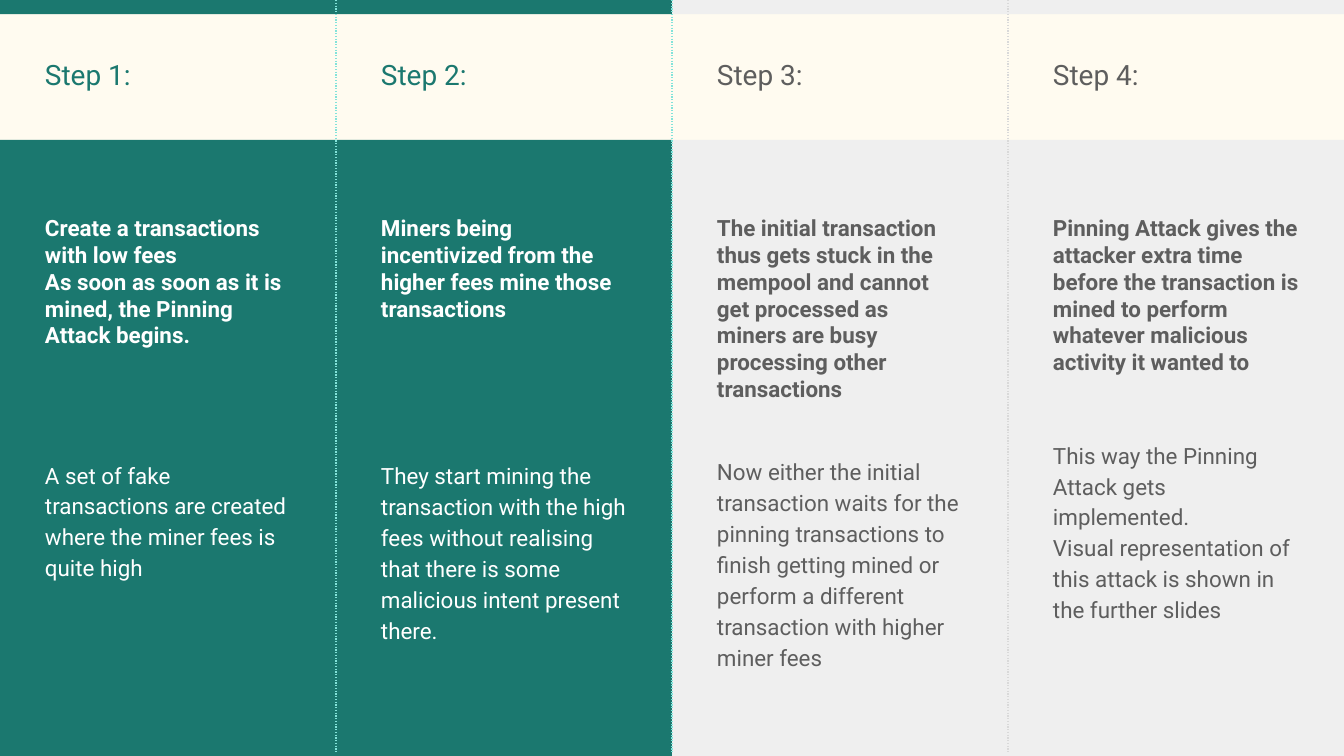
import dataclasses

import pptx
import pptx.dml.color
import pptx.enum.dml
import pptx.enum.shapes
import pptx.enum.text
import pptx.oxml
import pptx.oxml.ns
import pptx.util

Pt = pptx.util.Pt


def rgb(value):
    return pptx.dml.color.RGBColor.from_string(value)


@dataclasses.dataclass(frozen=True)
class Palette:
    panel: str
    title: str
    text: str
    divider: str


@dataclasses.dataclass(frozen=True)
class Theme:
    font: str = "Roboto"
    background: str = "FFFBF0"
    title_size: float = 15
    body_size: float = 12
    green: Palette = Palette("1B786F", "1B786F", "FFFFFF", "83E3DA")
    grey: Palette = Palette("EFEFEF", "5E5E5E", "5E5E5E", "D9D9D9")


THEME = Theme()
SLIDE_WIDTH, SLIDE_HEIGHT = 720, 405

# Palette, heading, detail and top of the detail text; \v is a line break
STEPS = [
    (THEME.green,
     "Create a transactions with low fees\v"
     "As soon as soon as it is mined, the Pinning Attack begins.",
     "A set of fake transactions are created where the miner fees is quite high",
     238),
    (THEME.green,
     "Miners being incentivized from the higher fees mine those transactions",
     "They start mining the transaction with the high fees without realising "
     "that there is some malicious intent present there.",
     238.4),
    (THEME.grey,
     "The initial transaction thus gets stuck in the mempool and cannot get "
     "processed as miners are busy processing other transactions",
     "Now either the initial transaction waits for the pinning transactions to "
     "finish getting mined or perform a different transaction with higher miner fees",
     236.2),
    (THEME.grey,
     "Pinning Attack gives the attacker extra time before the transaction is "
     "mined to perform whatever malicious activity it wanted to",
     "This way the Pinning Attack gets implemented.\v"
     "Visual representation of this attack is shown in the further slides",
     227.3),
]


def add_panel(shapes, left, top, width, height, color):
    shape = shapes.add_shape(pptx.enum.shapes.MSO_SHAPE.RECTANGLE,
                             Pt(left), Pt(top), Pt(width), Pt(height))
    shape.shadow.inherit = False
    shape.fill.solid()
    shape.fill.fore_color.rgb = rgb(color)
    shape.line.fill.background()


def add_text(shapes, left, top, width, height, text, size, color, bold=False):
    frame = shapes.add_textbox(Pt(left), Pt(top), Pt(width), Pt(height)).text_frame
    frame.word_wrap = True
    frame.vertical_anchor = pptx.enum.text.MSO_ANCHOR.TOP
    frame.margin_left = frame.margin_right = Pt(7.2)
    frame.margin_top = frame.margin_bottom = Pt(7.2)
    frame.text = text
    paragraph = frame.paragraphs[0]
    if not bold:
        paragraph.line_spacing = 1.15
        paragraph.space_after = Pt(16)
    paragraph.font.name = THEME.font
    paragraph.font.size = Pt(size)
    paragraph.font.bold = bold
    paragraph.font.color.rgb = rgb(color)


def add_divider(shapes, x, top, bottom, color):
    line = shapes.add_connector(pptx.enum.shapes.MSO_CONNECTOR.STRAIGHT,
                                Pt(x), Pt(top), Pt(x), Pt(bottom))
    line.line.color.rgb = rgb(color)
    line.line.width = Pt(0.75)
    line.line.dash_style = pptx.enum.dml.MSO_LINE.ROUND_DOT
    properties = line._element.spPr
    properties.append(pptx.oxml.parse_xml(
        f"<a:effectLst {pptx.oxml.ns.nsdecls('a')}/>"))


def add_step(slide, left, top, width, height, number, step, divided):
    palette, heading, detail, detail_top = step
    shapes = slide.shapes.add_group_shape().shapes
    text_left = left + 17
    text_width = width - 34

    # Body panel and strip above the title band
    add_panel(shapes, left, top + 75, width, height - 75, palette.panel)
    add_panel(shapes, left, top, width, 7.6, palette.panel)

    # Title, bold heading and detail
    add_text(shapes, text_left, top + 21, 68, 37, f"Step {number}:",
             THEME.title_size, palette.title)
    add_text(shapes, text_left, top + 107.5, text_width, 114, heading,
             THEME.body_size, palette.text, bold=True)
    add_text(shapes, text_left, top + detail_top, text_width, 142, detail,
             THEME.body_size, palette.text)

    # Dotted line on the right edge
    if divided:
        add_divider(shapes, left + width, top, top + height - 2, palette.divider)


def main():
    presentation = pptx.Presentation()
    presentation.slide_width = Pt(SLIDE_WIDTH)
    presentation.slide_height = Pt(SLIDE_HEIGHT)
    slide = presentation.slides.add_slide(presentation.slide_layouts[6])
    slide.background.fill.solid()
    slide.background.fill.fore_color.rgb = rgb(THEME.background)

    # Right to left, so each divider lies over the next column
    column_width = SLIDE_WIDTH / len(STEPS)
    for index in reversed(range(len(STEPS))):
        add_step(slide, index * column_width, 0, column_width, SLIDE_HEIGHT,
                 index + 1, STEPS[index], divided=index < len(STEPS) - 1)

    presentation.save("out.pptx")


if __name__ == "__main__":
    main()
